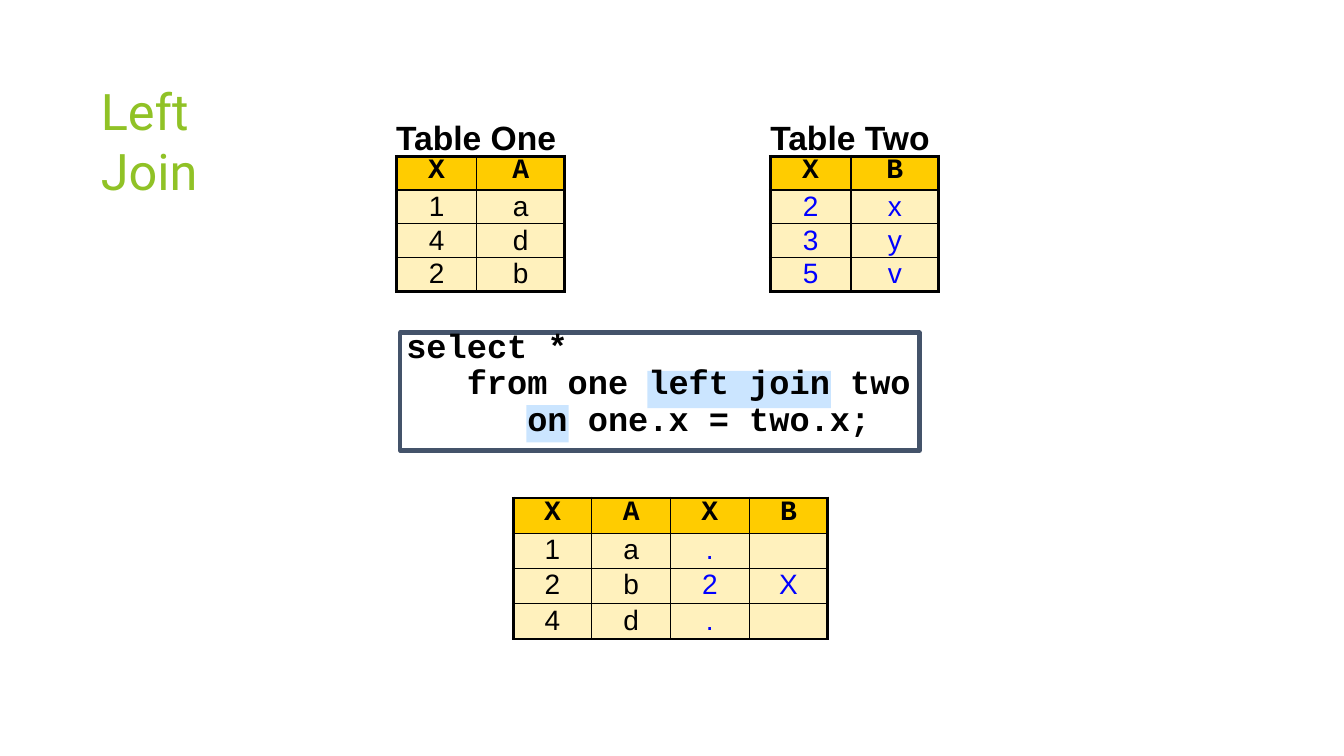
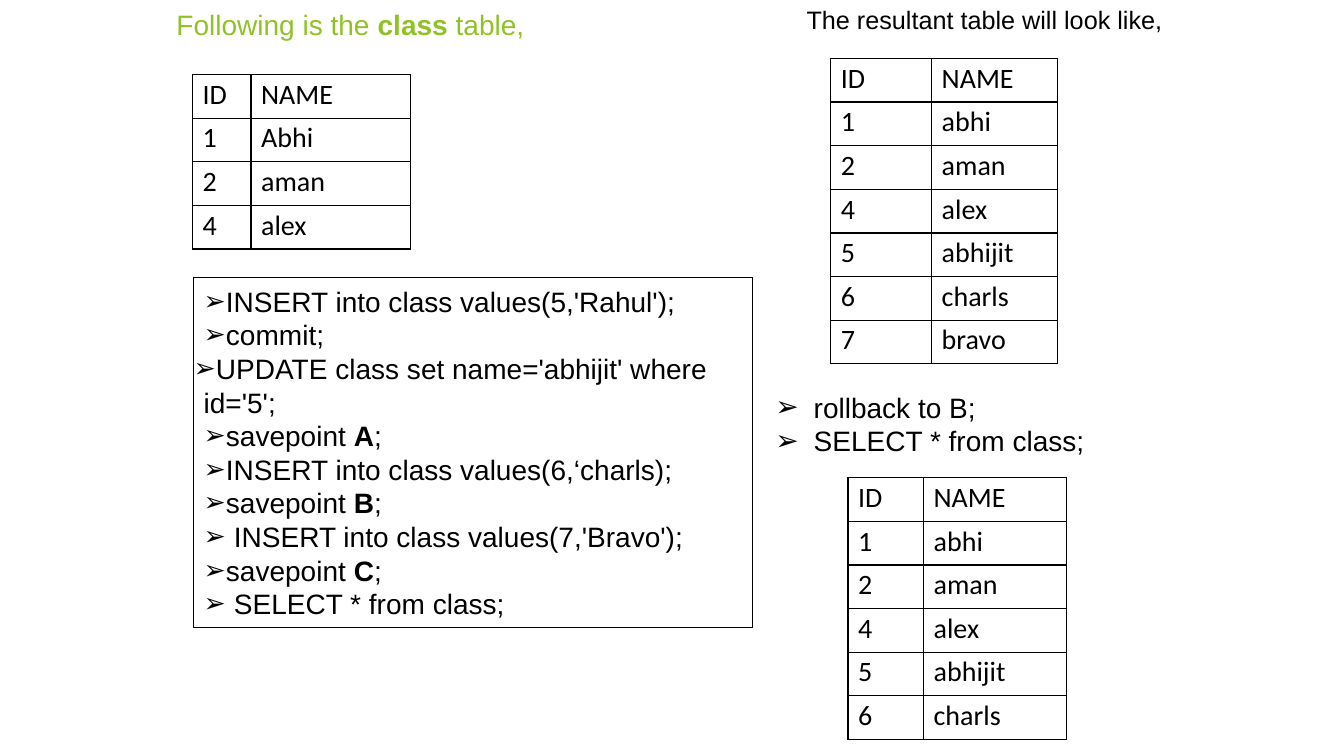
from lxml import etree
from pptx import Presentation
from pptx.dml.color import RGBColor
from pptx.enum.shapes import MSO_SHAPE
from pptx.enum.text import MSO_ANCHOR, PP_ALIGN
from pptx.oxml.ns import qn
from pptx.util import Inches, Pt

RECTANGLE = MSO_SHAPE.RECTANGLE
TOP = MSO_ANCHOR.TOP
LEFT, CENTER = PP_ALIGN.LEFT, PP_ALIGN.CENTER

GREEN, BLACK, BLUE, SLATE = "90C226", "000000", "0000FF", "44536A"
HEADER_FILL, BODY_FILL, HIGHLIGHT = "FFCC00", "FFF1BD", "99CCFF"
SANS, MONO, TABLE_FONT, TITLE_FONT = "Arial", "Courier New", "Calibri", "Roboto"
TITLE_ONLY = 5
THIN, THICK = 1, 2.25
CHAR_W = 0.2  # advance of one 24 pt monospaced character


def rgb(color):
    return RGBColor.from_string(color)


def add_run(p, text, size, font=SANS, color=BLACK, bold=False):
    r = p.add_run()
    r.text = text
    r.font.size = Pt(size)
    r.font.name = font
    r.font.bold = bold
    r.font.color.rgb = rgb(color)


def next_paragraph(tf, index, spacing=None):
    p = tf.add_paragraph() if index else tf.paragraphs[0]
    p.alignment = LEFT
    if spacing:
        p.line_spacing = Pt(spacing)
    return p


def set_indent(p, margin, first=0):
    pPr = p._p.get_or_add_pPr()
    pPr.set("marL", str(Inches(margin)))
    pPr.set("indent", str(Inches(first)))
    return pPr


def set_bullet(p, margin, first, percent):
    pPr = set_indent(p, margin, first)
    for tag, name, value in (("a:buSzPct", "val", str(percent * 1000)),
                             ("a:buFont", "typeface", SANS),
                             ("a:buChar", "char", "➢")):
        etree.SubElement(pPr, qn(tag)).set(name, value)


def set_frame(tf, top=0.01):
    tf.word_wrap = True
    tf.vertical_anchor = TOP
    tf.margin_left = tf.margin_right = tf.margin_bottom = 0
    tf.margin_top = Inches(top)
    return tf


def add_box(s, box):
    return set_frame(s.shapes.add_textbox(*map(Inches, box)).text_frame)


def add_label(s, box, text, size, bold=False):
    p = next_paragraph(add_box(s, box), 0)
    add_run(p, text, size, bold=bold)


def add_rect(s, box, fill=None, line=None, weight=1):
    sp = s.shapes.add_shape(RECTANGLE, *map(Inches, box))
    sp.shadow.inherit = False
    if fill:
        sp.fill.solid()
        sp.fill.fore_color.rgb = rgb(fill)
    else:
        sp.fill.background()
    if line:
        sp.line.color.rgb = rgb(line)
        sp.line.width = Pt(weight)
    else:
        sp.line.fill.background()
    return sp


def add_titled_slide(prs, box, runs, size, font):
    s = prs.slides.add_slide(prs.slide_layouts[TITLE_ONLY])
    title = s.shapes.title
    title.left, title.top, title.width, title.height = map(Inches, box)
    p = next_paragraph(set_frame(title.text_frame), 0)
    for text, bold in runs:
        add_run(p, text, size, font, GREEN, bold)
    return s


def set_borders(cell, weights):
    """Draw the cell's sides; weights are left, right, top, bottom in points."""
    tcPr = cell._tc.get_or_add_tcPr()
    for tag, weight in zip(("a:lnL", "a:lnR", "a:lnT", "a:lnB"), weights):
        ln = etree.SubElement(tcPr, qn(tag), w=str(Pt(weight)))
        fill = etree.SubElement(ln, qn("a:solidFill"))
        etree.SubElement(fill, qn("a:srgbClr"), val=BLACK)


def add_grid(s, left, top, widths, row_h, rows, outer=THIN):
    """Add a bordered table and yield (row, column, text, cell)."""
    shape = s.shapes.add_table(len(rows), len(widths), Inches(left), Inches(top),
                               Inches(sum(widths)), Inches(row_h * len(rows)))
    table = shape.table
    table.first_row = table.horz_banding = False
    for column, width in zip(table.columns, widths):
        column.width = Inches(width)
    last_row, last_col = len(rows) - 1, len(widths) - 1
    for i, row in enumerate(rows):
        table.rows[i].height = Inches(row_h)
        for j, text in enumerate(row):
            cell = table.cell(i, j)
            edges = (j == 0, j == last_col, i == 0, i == last_row)
            set_borders(cell, [outer if edge else THIN for edge in edges])
            cell.margin_left = cell.margin_right = 0
            cell.margin_top = cell.margin_bottom = 0
            yield i, j, text, cell


def add_join_table(s, left, top, widths, row_h, rows, blue_columns=()):
    for i, j, text, cell in add_grid(s, left, top, widths, row_h, rows, THICK):
        header = i == 0
        cell.fill.solid()
        cell.fill.fore_color.rgb = rgb(HEADER_FILL if header else BODY_FILL)
        p = next_paragraph(cell.text_frame, 0, 22 if header else 23)
        p.alignment = CENTER
        if text:
            color = BLUE if j in blue_columns and not header else BLACK
            add_run(p, text, 20, MONO if header else SANS, color, header)


def add_class_table(s, left, top, widths, rows):
    for _, _, text, cell in add_grid(s, left, top, widths, 0.433,
                                     [("ID", "NAME"), *rows]):
        cell.fill.background()
        cell.margin_left, cell.margin_top = Inches(0.1), Inches(0.03)
        add_run(next_paragraph(cell.text_frame, 0), text, 20, TABLE_FONT)


def add_query(s, left, top, width, height):
    add_rect(s, (left, top, width, height), line=SLATE, weight=3)
    text_left = left + 0.06
    # first character, character count, offset from the frame's top
    for start, count, drop in ((12, 9, 0.38), (6, 2, 0.72)):
        mark = add_rect(s, (text_left + start * CHAR_W - 0.01, top + drop,
                            count * CHAR_W + 0.02, 0.37), fill=HIGHLIGHT)
        color = mark.fill._xPr.find(qn("a:solidFill"))[0]
        etree.SubElement(color, qn("a:alpha"), val="50000")
    tf = add_box(s, (text_left, top - 0.05, width, height))
    lines = ((0, "select *"), (3, "from one left join two"),
             (6, "on one.x = two.x;"))
    for i, (chars, text) in enumerate(lines):
        p = next_paragraph(tf, i, 26)
        set_indent(p, chars * CHAR_W)
        add_run(p, text, 24, MONO, bold=True)


def add_statements(tf, statements, percent):
    """Add bulleted lines; each is (margin, first-line indent, runs)."""
    for i, (margin, first, runs) in enumerate(statements):
        p = next_paragraph(tf, i, 24)
        set_bullet(p, margin, first, percent)
        for text, bold in runs:
            add_run(p, text, 20, bold=bold)


def add_transaction(s, box):
    def plain(text, margin=0.32, first=-0.22):
        return margin, first, [(text, False)]

    def savepoint(name):
        return 0.32, -0.22, [("savepoint ", False), (name, True), (";", False)]

    sp = add_rect(s, box, line=BLACK, weight=0.25)
    add_statements(set_frame(sp.text_frame, 0.07), [
        plain("INSERT into class values(5,'Rahul');"),
        plain("commit;"),
        plain("UPDATE class set name='abhijit' where id='5';", 0.1, -0.1),
        savepoint("A"),
        plain("INSERT into class values(6,‘charls);"),
        savepoint("B"),
        plain("INSERT into class values(7,'Bravo');", 0.4, -0.3),
        savepoint("C"),
        plain("SELECT * from class;", 0.4, -0.3),
    ], 95)


def build_left_join(prs):
    s = add_titled_slide(prs, (1, 0.78, 1.56, 1.18), [("Left Join", False)],
                         36, TITLE_FONT)
    add_query(s, 3.97, 3.3, 5.15, 1.17)
    sources = (
        ("Table One", 3.93, [("X", "A"), ("1", "a"), ("4", "d"), ("2", "b")], ()),
        ("Table Two", 7.64, [("X", "B"), ("2", "x"), ("3", "y"), ("5", "v")], (0, 1)),
    )
    for name, left, rows, blue in sources:
        add_label(s, (left, 1.15, 1.8, 0.43), name, 24, bold=True)
        add_join_table(s, left, 1.55, (0.8, 0.87), 0.335, rows, blue)
    add_join_table(s, 5.09, 4.94, (0.78,) * 4, 0.35,
                   [("X", "A", "X", "B"), ("1", "a", ".", ""),
                    ("2", "b", "2", "X"), ("4", "d", ".", "")], (2, 3))


def build_savepoints(prs):
    s = add_titled_slide(prs, (1.75, 0.06, 3.6, 0.36),
                         [("Following is the ", False), ("class ", True),
                          ("table,", False)], 20, SANS)
    final = [("1", "abhi"), ("2", "aman"), ("4", "alex"), ("5", "abhijit"),
             ("6", "charls"), ("7", "bravo")]
    add_class_table(s, 1.91, 0.74, (0.58, 1.58),
                    [("1", "Abhi"), ("2", "aman"), ("4", "alex")])
    add_transaction(s, (1.92, 2.75, 5.54, 3.47))
    add_label(s, (8, 0.03, 3.7, 0.33), "The resultant table will look like,", 18)
    add_class_table(s, 8.24, 0.58, (1, 1.25), final)
    add_statements(add_box(s, (7.68, 3.86, 3.09, 0.7)),
                   [(0.39, -0.38, [(text, False)])
                    for text in ("rollback to B;", "SELECT * from class;")], 100)
    add_class_table(s, 8.41, 4.74, (0.75, 1.42), final[:-1])


def main():
    prs = Presentation()
    prs.slide_width, prs.slide_height = Inches(13.33), Inches(7.5)
    build_left_join(prs)
    build_savepoints(prs)
    prs.save("out.pptx")


if __name__ == "__main__":
    main()
